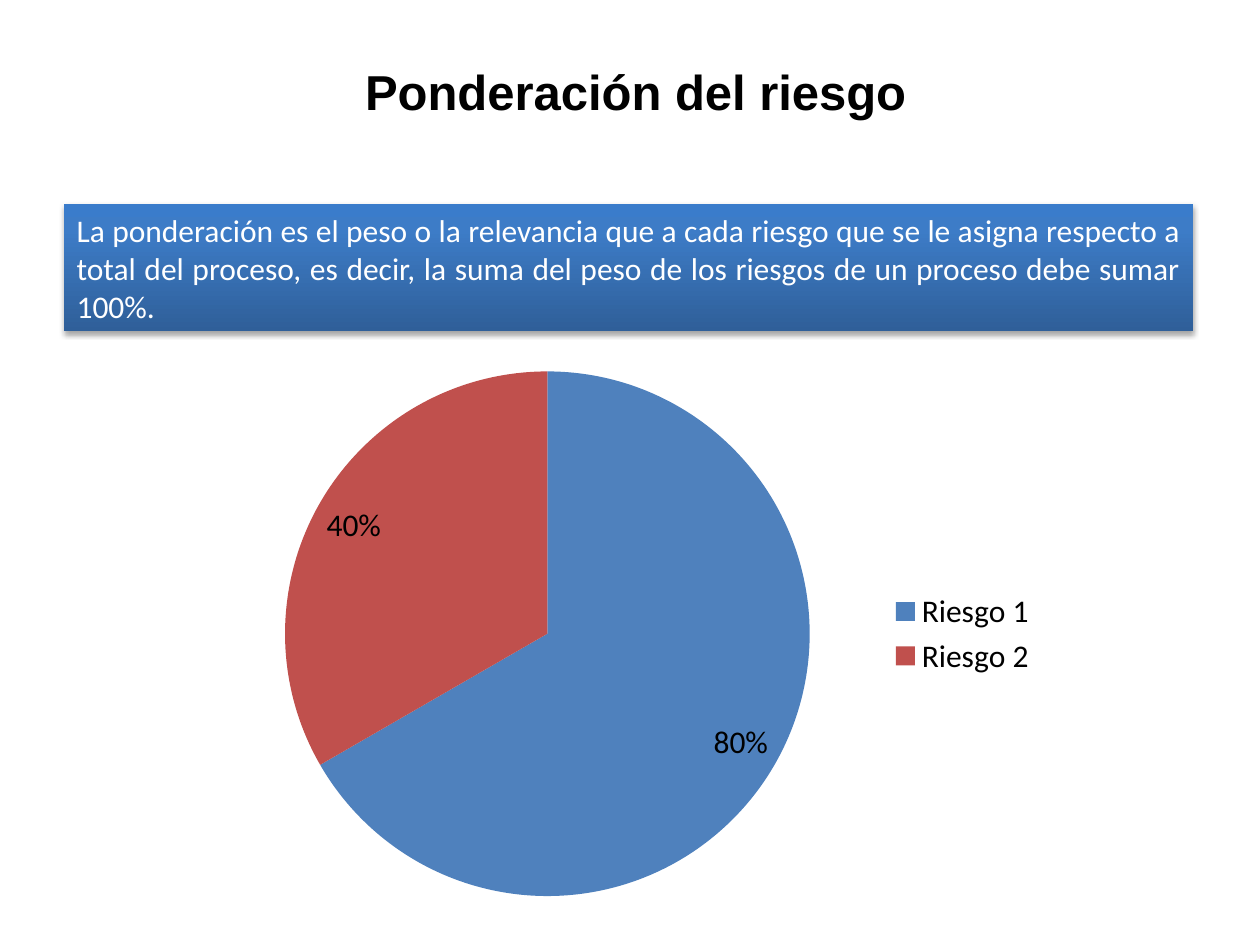
"""Build a slide on risk weighting with a pie chart."""
import copy

import lxml.etree
import pptx
import pptx.chart.data
import pptx.dml.color
import pptx.enum.chart
import pptx.enum.shapes
import pptx.enum.text
import pptx.oxml.ns
import pptx.util
from pptx.util import Inches

ALIGN = pptx.enum.text.PP_ALIGN
STOPS = [(0, "2F5F99"), (0.8, "3D7CC7"), (1, "3A7CCB")]
RISKS = [("Riesgo 1", 0.8, "4F81BD"), ("Riesgo 2", 0.4, "C0504D")]
TITLE = "Ponderación del riesgo"
BODY = (
    "La ponderación es el peso o la relevancia que a cada riesgo que se le "
    "asigna respecto a total del proceso, es decir, la suma del peso de los "
    "riesgos de un proceso debe sumar 100%."
)


def color(code):
    return pptx.dml.color.RGBColor.from_string(code)


def style(font, name, size, code, bold=False):
    font.name = name
    font.size = pptx.util.Pt(size)
    font.color.rgb = color(code)
    font.bold = bold


def write(shape, text, align):
    frame = shape.text_frame
    frame.word_wrap = True
    frame.auto_size = pptx.enum.text.MSO_AUTO_SIZE.SHAPE_TO_FIT_TEXT
    par = frame.paragraphs[0]
    par.text = text
    par.alignment = align
    return par.font


def add_title(slide):
    box = slide.shapes.add_textbox(
        Inches(2.72), Inches(0.44), Inches(4.65), Inches(0.57))
    style(write(box, TITLE, ALIGN.CENTER), "Arial", 28, "000000", True)


def shade(shape):
    fill = shape.fill
    fill.gradient()
    fill.gradient_angle = 90
    last = shape._element.spPr.findall(".//" + pptx.oxml.ns.qn("a:gs"))[-1]
    last.addnext(copy.deepcopy(last))
    for stop, (place, code) in zip(fill.gradient_stops, STOPS):
        stop.position = place
        stop.color.rgb = color(code)


def cast(shape):
    shape.shadow.inherit = False
    tag = pptx.oxml.ns.qn
    list_ = shape._element.spPr.find(tag("a:effectLst"))
    drop = lxml.etree.SubElement(
        list_, tag("a:outerShdw"), blurRad=str(pptx.util.Pt(3.1)),
        dist=str(pptx.util.Pt(1.8)), dir="5400000", rotWithShape="0")
    tint = lxml.etree.SubElement(drop, tag("a:srgbClr"), val="000000")
    lxml.etree.SubElement(tint, tag("a:alpha"), val="35000")


def add_panel(slide):
    panel = slide.shapes.add_shape(
        pptx.enum.shapes.MSO_SHAPE.RECTANGLE,
        Inches(0.51), Inches(1.62), Inches(8.96), Inches(1.01))
    panel.line.fill.background()
    shade(panel)
    cast(panel)
    style(write(panel, BODY, ALIGN.JUSTIFY), "Calibri", 18, "FFFFFF")


def add_pie(slide):
    data = pptx.chart.data.CategoryChartData(number_format="0%")
    data.categories = [name for name, _, _ in RISKS]
    data.add_series("Series 1", [value for _, value, _ in RISKS])
    chart = slide.shapes.add_chart(
        pptx.enum.chart.XL_CHART_TYPE.PIE,
        Inches(1.66), Inches(2.81), Inches(6.67), Inches(4.44), data).chart
    style(chart.font, "Calibri", 18, "000000")
    chart.has_title = False
    chart.has_legend = True
    chart.legend.position = pptx.enum.chart.XL_LEGEND_POSITION.RIGHT
    chart.legend.include_in_layout = False
    plot = chart.plots[0]
    plot.vary_by_categories = True
    for i, (_, _, code) in enumerate(RISKS):
        fill = plot.series[0].points[i].format.fill
        fill.solid()
        fill.fore_color.rgb = color(code)
    plot.has_data_labels = True
    labels = plot.data_labels
    labels.show_value = True
    labels.number_format = "0%"
    labels.number_format_is_linked = False
    labels.position = pptx.enum.chart.XL_LABEL_POSITION.INSIDE_END


def main():
    deck = pptx.Presentation()
    deck.slide_width, deck.slide_height = Inches(10), Inches(7.5)
    slide = deck.slides.add_slide(deck.slide_layouts[6])
    add_title(slide)
    add_panel(slide)
    add_pie(slide)
    deck.save("out.pptx")


if __name__ == "__main__":
    main()
